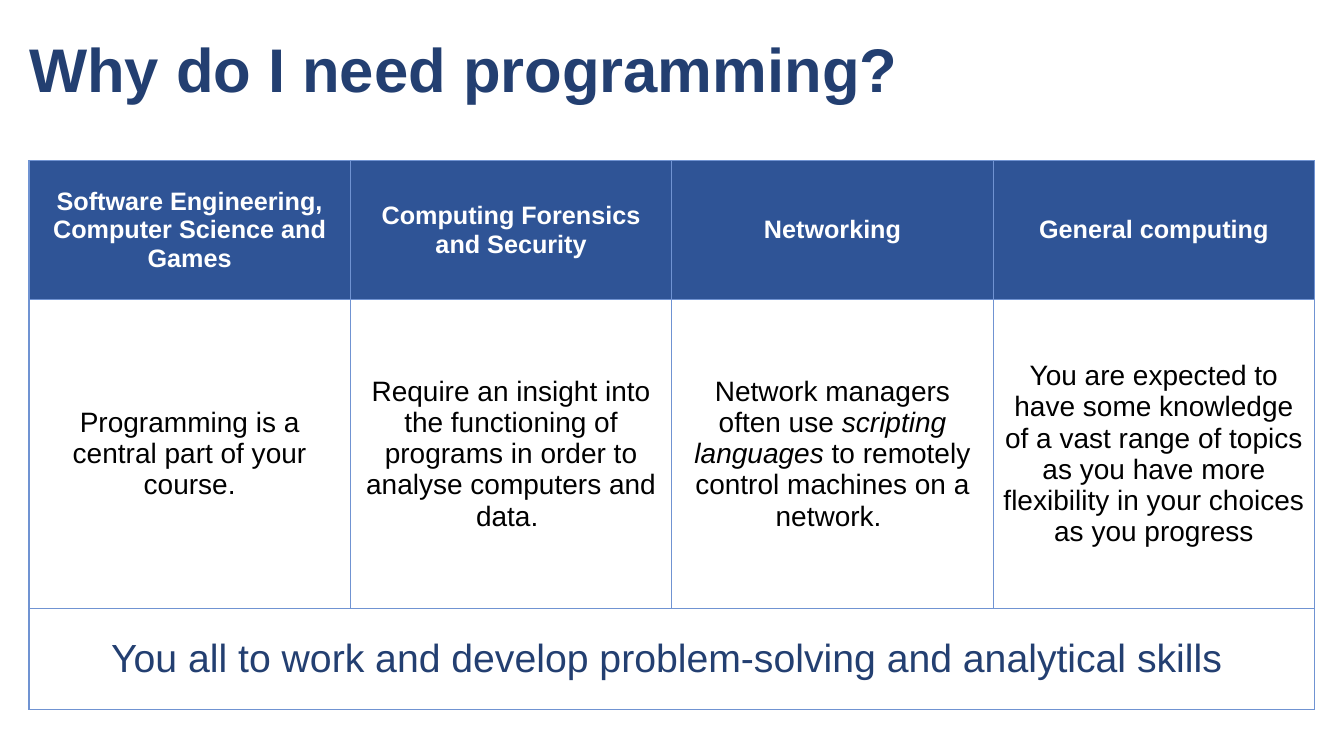
from pptx import Presentation
from pptx import util as u
from pptx.dml.color import RGBColor
from pptx.enum import text
from pptx.oxml import parse_xml
from pptx.oxml.ns import nsdecls

HEX = {"navy": "233F71", "head": "2F5496", "edge": "7093D2",
       "white": "FFFFFF", "black": "000000"}

# Text formats
TITLE = {"size": 44, "bold": True, "color": "navy"}
HEAD = {"size": 18, "bold": True, "color": "white"}
BODY = {"size": 20, "bold": False, "color": "black"}
FOOT = {"size": 28, "bold": False, "color": "navy"}

# Table content: each cell is a list of (text, italic) runs
HEADS = ["Software Engineering, Computer Science and Games",
         "Computing Forensics and Security", "Networking", "General computing"]
NEEDS = [
    [("Programming is a central part of your course.", False)],
    [("Require an insight into the functioning of programs in order to "
      "analyse computers and data. ", False)],
    [("Network managers often use ", False), ("scripting languages", True),
     (" to remotely control machines on a network. ", False)],
    [("You are expected to have some knowledge of a vast range of topics as "
      "you have more flexibility in your choices as you progress", False)],
]
SKILLS = "You all to work and develop problem-solving and analytical skills "


class Deck:
    face = "Arial"

    def __init__(self):
        self.prs = Presentation()
        self.prs.slide_width, self.prs.slide_height = u.Cm(33.87), u.Cm(19.05)
        self.slide = self.prs.slides.add_slide(self.prs.slide_layouts[5])

    def label(self, para, runs, style, align):
        para.alignment = align
        for words, slant in runs:
            run = para.add_run()
            run.text = words
            look = {"name": self.face, "size": u.Pt(style["size"]),
                    "bold": style["bold"], "italic": slant}
            for key, val in look.items():
                setattr(run.font, key, val)
            run.font.color.rgb = RGBColor.from_string(HEX[style["color"]])

    def title(self, words, box):
        shape = self.slide.shapes.title
        for key, val in zip(("left", "top", "width", "height"), box):
            setattr(shape, key, u.Cm(val))
        frame = shape.text_frame
        frame.word_wrap = True
        frame.auto_size = text.MSO_AUTO_SIZE.NONE
        frame.vertical_anchor = text.MSO_ANCHOR.MIDDLE
        para = frame.paragraphs[0]
        para.line_spacing = 0.9
        self.label(para, [(words, False)], TITLE, text.PP_ALIGN.LEFT)

    def table(self, left, top, wide, highs, cols):
        frame = self.slide.shapes.add_table(
            len(highs), cols, u.Cm(left), u.Cm(top),
            u.Cm(wide * cols), u.Cm(sum(highs)))
        grid = frame.table
        grid.horz_banding = False
        for col in grid.columns:
            col.width = u.Cm(wide)
        for row, high in zip(grid.rows, highs):
            row.height = u.Cm(high)
        for cell in grid.iter_cells():
            cell.fill.background()
            self.edge(cell)
        return grid

    def edge(self, cell):
        props = cell._tc.get_or_add_tcPr()
        for spot, side in enumerate("LRTB"):
            props.insert(spot, parse_xml(
                f'<a:ln{side} {nsdecls("a")} w="12700"><a:solidFill>'
                f'<a:srgbClr val="{HEX["edge"]}"/></a:solidFill></a:ln{side}>'))

    def cell(self, cell, runs, style, fill=None):
        cell.vertical_anchor = text.MSO_ANCHOR.MIDDLE
        if fill:
            cell.fill.solid()
            cell.fill.fore_color.rgb = RGBColor.from_string(HEX[fill])
        self.label(cell.text_frame.paragraphs[0], runs, style,
                   text.PP_ALIGN.CENTER)


def main():
    deck = Deck()
    deck.title("Why do I need programming?", (0.48, 0, 32.89, 3.68))

    # Courses and their needs
    grid = deck.table(0.73, 4.05, 8.1, (3.5, 7.78, 2.54), len(HEADS))
    for col, (head, need) in enumerate(zip(HEADS, NEEDS)):
        deck.cell(grid.cell(0, col), [(head, False)], HEAD, "head")
        deck.cell(grid.cell(1, col), need, BODY)

    # Shared skills across the full width
    foot = grid.cell(2, 0)
    foot.merge(grid.cell(2, len(HEADS) - 1))
    deck.cell(foot, [(SKILLS, False)], FOOT)

    deck.prs.save("out.pptx")


if __name__ == "__main__":
    main()
